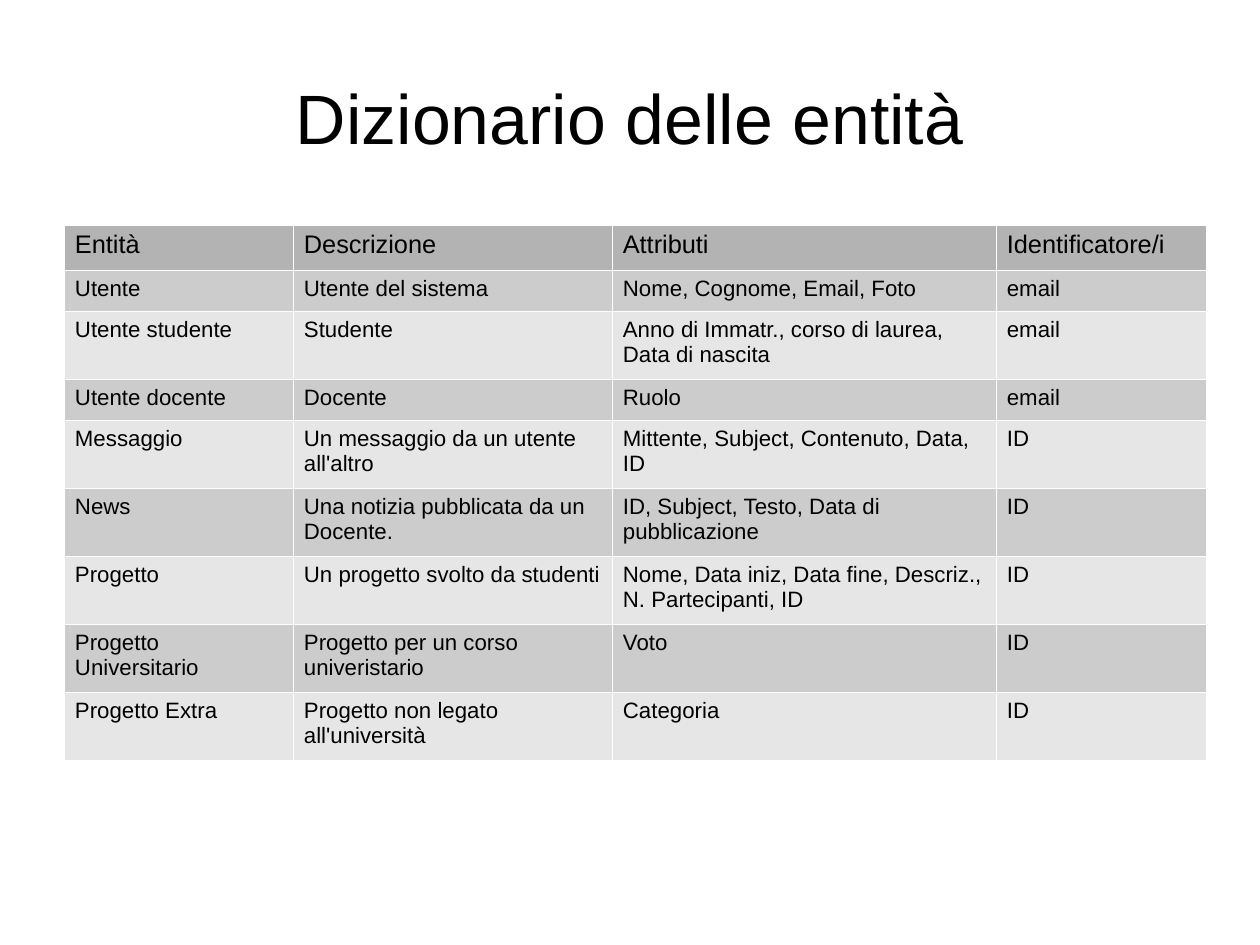
import pptx
import pptx.dml.color
import pptx.enum.text
import pptx.oxml
import pptx.oxml.ns
import pptx.util

SCALE = 8000
FONT = "Arial"
BLACK, WHITE = "000000", "FFFFFF"
HEAD, DARK, LIGHT = "B3B3B3", "CCCCCC", "E6E6E6"
WIDTHS = [229, 319, 384, 210]
HEIGHTS = [45, 41, 68, 41, 68, 68, 68, 68, 68]
ROWS = [
    ["Entità", "Descrizione", "Attributi", "Identificatore/i"],
    ["Utente", "Utente del sistema", "Nome, Cognome, Email, Foto", "email"],
    ["Utente studente", "Studente",
     "Anno di Immatr., corso di laurea, Data di nascita", "email"],
    ["Utente docente", "Docente", "Ruolo", "email"],
    ["Messaggio", "Un messaggio da un utente all'altro",
     "Mittente, Subject, Contenuto, Data, ID", "ID"],
    ["News", "Una notizia pubblicata da un Docente.",
     "ID, Subject, Testo, Data di pubblicazione", "ID"],
    ["Progetto", "Un progetto svolto da studenti",
     "Nome, Data iniz, Data fine, Descriz., N. Partecipanti, ID", "ID"],
    ["Progetto Universitario", "Progetto per un corso univeristario", "Voto", "ID"],
    ["Progetto Extra", "Progetto non legato all'università", "Categoria", "ID"],
]


def px(count):
    """Turn pixels into EMU."""
    return pptx.util.Emu(count * SCALE)


def paint(target, color):
    """Give a solid colour to a fill."""
    target.solid()
    target.fore_color.rgb = pptx.dml.color.RGBColor.from_string(color)


def write(frame, text, size):
    """Add one run of text to the first paragraph of a frame."""
    run = frame.paragraphs[0].add_run()
    run.text = text
    run.font.name = FONT
    run.font.size = pptx.util.Pt(size)
    paint(run.font.fill, BLACK)


def pad(box, side, edge):
    """Set the inner margins of a frame or cell."""
    box.margin_left = box.margin_right = px(side)
    box.margin_top = box.margin_bottom = px(edge)


def border(cell):
    """Draw hairlines on all four sides of a cell."""
    props = cell._tc.get_or_add_tcPr()
    for spot, side in enumerate(["lnL", "lnR", "lnT", "lnB"]):
        line = pptx.oxml.parse_xml(
            f'<a:{side} {pptx.oxml.ns.nsdecls("a")} w="{pptx.util.Pt(0.06)}">'
            f'<a:solidFill><a:srgbClr val="{WHITE}"/></a:solidFill></a:{side}>')
        props.insert(spot, line)


def title(slide, text):
    """Add the centred heading."""
    frame = slide.shapes.add_textbox(px(63), px(38), px(1134), px(158)).text_frame
    frame.word_wrap = True
    frame.vertical_anchor = pptx.enum.text.MSO_ANCHOR.MIDDLE
    pad(frame, 0, 0)
    frame.paragraphs[0].alignment = pptx.enum.text.PP_ALIGN.CENTER
    write(frame, text, 44)


def grid(slide):
    """Add the table of entities with banded rows."""
    table = slide.shapes.add_table(
        len(ROWS), len(WIDTHS), px(64), px(225),
        px(sum(WIDTHS)), px(sum(HEIGHTS))).table
    for column, width in zip(table.columns, WIDTHS):
        column.width = px(width)
    for index, (row, height, texts) in enumerate(zip(table.rows, HEIGHTS, ROWS)):
        row.height = px(height)
        band = DARK if index % 2 else LIGHT
        for cell, text in zip(row.cells, texts):
            pad(cell, 11, 6)
            paint(cell.fill, band if index else HEAD)
            border(cell)
            write(cell.text_frame, text, 14 if index else 16)


def main():
    """Build and save the slide."""
    deck = pptx.Presentation()
    deck.slide_width, deck.slide_height = px(1260), px(945)
    slide = deck.slides.add_slide(deck.slide_layouts[6])
    paint(slide.background.fill, WHITE)
    title(slide, "Dizionario delle entità")
    grid(slide)
    deck.save("out.pptx")


if __name__ == "__main__":
    main()
